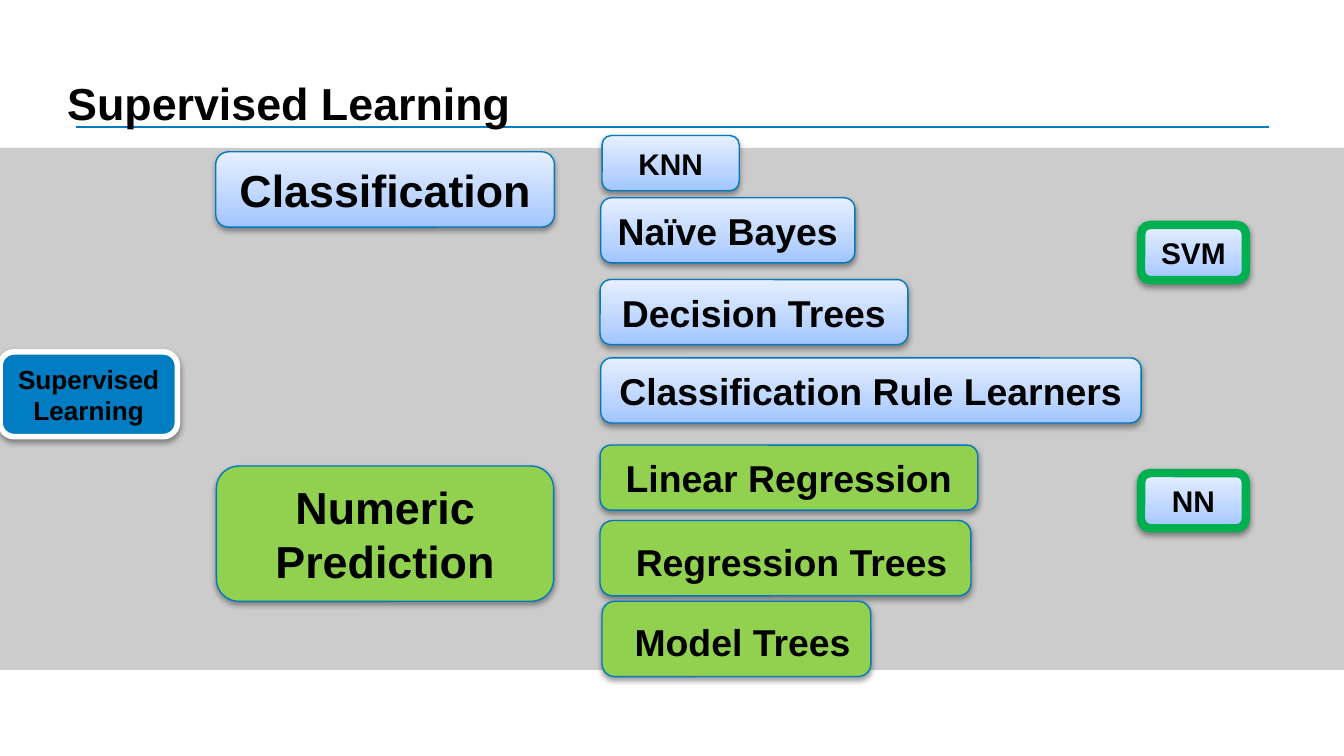
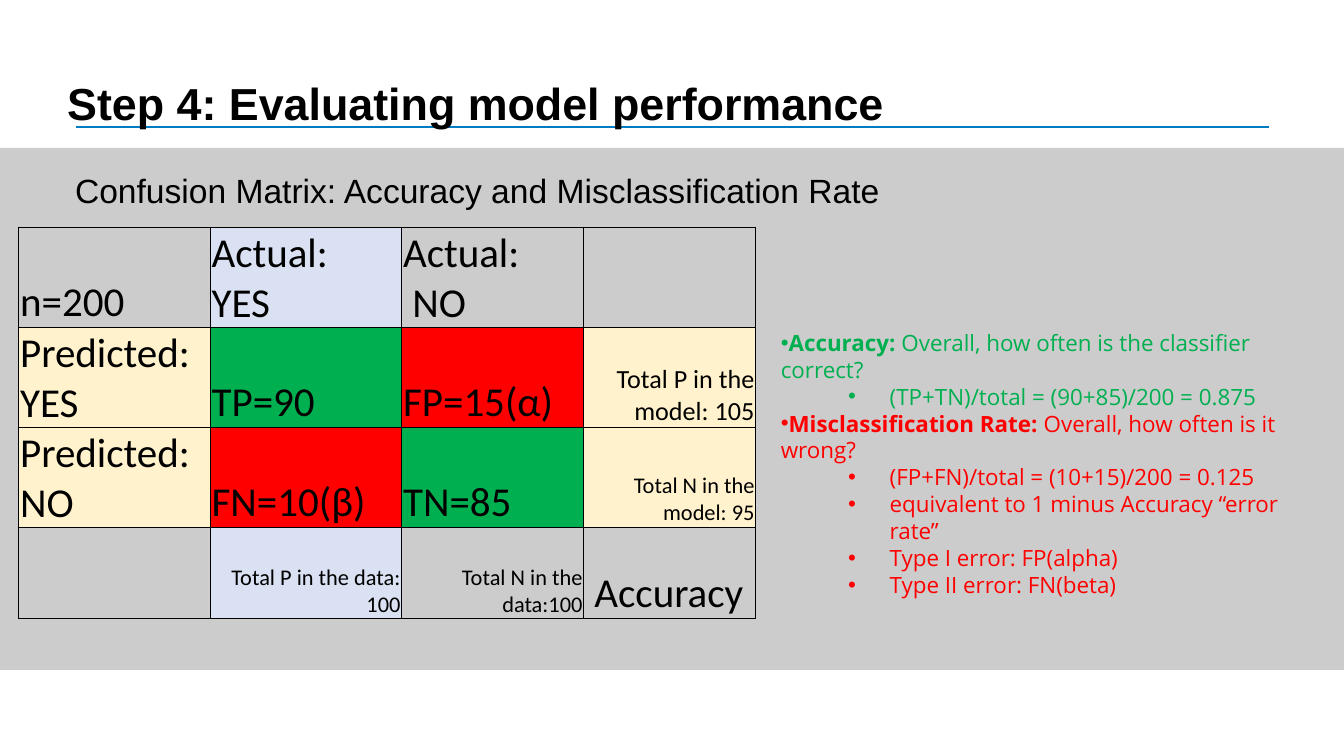
"""Build two slides on supervised learning: a map of methods and a confusion matrix."""
from copy import deepcopy

from lxml.etree import SubElement
from pptx import Presentation
from pptx.dml.color import RGBColor
from pptx.enum.shapes import MSO_CONNECTOR, MSO_SHAPE
from pptx.enum.text import MSO_ANCHOR, MSO_AUTO_SIZE, PP_ALIGN
from pptx.oxml import parse_xml
from pptx.oxml.ns import nsdecls, qn
from pptx.util import Inches, Pt


class Theme:
    black, white, band = "000000", "FFFFFF", "CCCCCC"
    blue, edge = "007CC2", "0079BE"
    lime, green, red = "92D050", "00B050", "FF0000"
    lilac, cream = "D9E1F2", "FFF2CC"
    gradient = [(0, "A1C5FF"), (0.35, "BCD5FF"), (1, "E6EFFF")]
    head, cell, method, lead, small, root, note = 24, 22, 20, 18, 16, 14, 12
    sans, table, text = "Arial", "Calibri", "Open Sans"


prs = Presentation()
prs.slide_width, prs.slide_height = Inches(10), Inches(10) * 9 // 16


def at(x, y, w, h):
    """Turn percentages of the slide's width and height into lengths."""
    return [int(share * side / 100) for share, side in
            zip((x, y, w, h), (prs.slide_width, prs.slide_height) * 2)]


def add_run(p, text, size, color=Theme.black, bold=False, font=Theme.sans):
    """Add one formatted run to a paragraph."""
    r = p.add_run()
    r.text = text
    r.font.size, r.font.bold, r.font.name = Pt(size), bold, font
    r.font.color.rgb = RGBColor.from_string(color)


map_slide = prs.slides.add_slide(prs.slide_layouts[5])
matrix_slide = prs.slides.add_slide(prs.slide_layouts[1])

x, y, w, h = at(5.65, 16.75, 88.75, 0)
rule = matrix_slide.shapes.add_connector(MSO_CONNECTOR.STRAIGHT, x, y, x + w, y)
rule.line.color.rgb, rule.line.width = RGBColor.from_string(Theme.blue), Pt(1)
SubElement(rule.element.spPr, qn("a:effectLst"))
band = matrix_slide.shapes.add_shape(MSO_SHAPE.RECTANGLE, *at(0, 19.57, 100, 69.04))
band.shadow.inherit = False
band.fill.solid()
band.fill.fore_color.rgb = RGBColor.from_string(Theme.band)
band.line.fill.background()
for i, sp in enumerate((rule, band)):
    sp.element.xpath(".//p:cNvPr")[0].set("id", str(20 + i))
    prs.slide_master.shapes.element.insert(2 + i, sp.element)

for s, heading in ((map_slide, "Supervised Learning"),
                   (matrix_slide, "Step 4: Evaluating model performance")):
    title = s.shapes.title
    title.left, title.top, title.width, title.height = at(4, 9.92, 92, 8.19)
    tf = title.text_frame
    tf.auto_size, tf.vertical_anchor = MSO_AUTO_SIZE.SHAPE_TO_FIT_TEXT, MSO_ANCHOR.BOTTOM
    p = tf.paragraphs[0]
    p.alignment, p.line_spacing = PP_ALIGN.LEFT, 0.9
    add_run(p, heading, Theme.head, bold=True)

soft = (Theme.gradient, Theme.edge, 0.75)
leaf = (Theme.lime, Theme.edge, 0.75)
both = (Theme.gradient, Theme.green, 4.5)
boxes = [
    ("Supervised Learning", (0, 46.55, 13.2, 11.21), Theme.root, (Theme.blue, Theme.white, 3)),
    ("KNN", (44.8, 17.93, 10.2, 7.3), Theme.small, soft),
    ("Naïve Bayes", (44.7, 26.16, 18.9, 8.6), Theme.method, soft),
    ("Decision Trees", (44.65, 36.98, 22.9, 8.6), Theme.method, soft),
    ("Classification Rule Learners", (44.7, 47.35, 40.2, 8.6), Theme.method, soft),
    ("Linear Regression", (44.65, 58.88, 28.1, 8.6), Theme.method, leaf),
    (" Regression Trees", (44.65, 68.86, 27.6, 9.96), Theme.method, leaf),
    (" Model Trees", (44.8, 79.54, 20, 9.96), Theme.method, leaf),
    ("Numeric Prediction", (16.1, 61.65, 25.1, 17.9), Theme.head, leaf),
    ("Classification", (16.05, 20.08, 25.2, 9.96), Theme.head, soft),
    ("SVM", (84.9, 29.75, 7.8, 7.3), Theme.small, both),
    ("NN", (84.9, 62.58, 7.8, 7.3), Theme.small, both),
]
for text, place, size, (fill, edge, weight) in boxes:
    sp = map_slide.shapes.add_shape(MSO_SHAPE.FLOWCHART_ALTERNATE_PROCESS, *at(*place))
    if fill is Theme.gradient:
        sp.fill.gradient()
        sp.fill.gradient_angle = 90
        stops = sp.element.spPr.find(".//" + qn("a:gsLst"))
        stops.insert(1, deepcopy(stops[0]))
        for stop, (position, color) in zip(sp.fill.gradient_stops, fill):
            stop.position, stop.color.rgb = position, RGBColor.from_string(color)
    else:
        sp.fill.solid()
        sp.fill.fore_color.rgb = RGBColor.from_string(fill)
    sp.line.color.rgb, sp.line.width = RGBColor.from_string(edge), Pt(weight)
    sp.element.spPr.append(parse_xml(
        f'<a:effectLst {nsdecls("a")}><a:outerShdw blurRad="40000" dist="20000" dir="5400000" '
        f'rotWithShape="0"><a:srgbClr val="{Theme.black}"><a:alpha val="38000"/></a:srgbClr>'
        '</a:outerShdw></a:effectLst>'))
    tf = sp.text_frame
    tf.word_wrap, tf.vertical_anchor = True, MSO_ANCHOR.MIDDLE
    tf.auto_size = MSO_AUTO_SIZE.SHAPE_TO_FIT_TEXT
    p = tf.paragraphs[0]
    p.alignment = PP_ALIGN.CENTER
    if text.startswith(" "):
        add_run(p, " ", Theme.head, bold=True)
    add_run(p, text.strip(), size, bold=True)

body = matrix_slide.placeholders[1]
body.left, body.top, body.width, body.height = at(57.1, 42.63, 42.9, 30.6)
tf = body.text_frame
tf.auto_size, tf.vertical_anchor = MSO_AUTO_SIZE.SHAPE_TO_FIT_TEXT, MSO_ANCHOR.TOP
measures = [
    (Theme.green, "Accuracy:", " Overall, how often is the classifier correct?"),
    (Theme.green, "", "(TP+TN)/total = (90+85)/200 = 0.875"),
    (Theme.red, "Misclassification Rate:", " Overall, how often is it wrong?"),
    (Theme.red, "", "(FP+FN)/total = (10+15)/200 = 0.125"),
    (Theme.red, "", "equivalent to 1 minus Accuracy “error rate”"),
    (Theme.red, "", "Type I error: FP(alpha)"),
    (Theme.red, "", "Type II error: FN(beta)"),
]
for i, (color, term, text) in enumerate(measures):
    p = tf.add_paragraph() if i else tf.paragraphs[0]
    p.level = 0 if term else 1
    p.space_before = Pt(0)
    pPr = p._p.get_or_add_pPr()
    pPr.set("marL", str(Inches(0.81 * p.level)))
    pPr.set("indent", str(Inches(-0.31 * p.level)))
    SubElement(pPr, qn("a:buFont"), typeface=Theme.sans)
    SubElement(pPr, qn("a:buChar"), char="•")
    if term:
        add_run(p, term, Theme.note, color, True, Theme.text)
    add_run(p, text, Theme.note, color, font=Theme.text)

widths, heights = (14.25, 14.25, 13.55, 12.8), (13.2, 13.2, 13.2, 12.15)
table = matrix_slide.shapes.add_table(
    4, 4, *at(1.4, 30.07, sum(widths), sum(heights))).table
table.first_row = table.horz_banding = False
for col, row, width, height in zip(table.columns, table.rows, widths, heights):
    _, _, col.width, row.height = at(0, 0, width, height)
big, mid, low = Theme.cell, Theme.root, Theme.note
matrix = [
    [("n=200", big, None), ("Actual: \nYES", big, Theme.lilac),
     ("Actual:\n NO", big, None), ("", big, None)],
    [("Predicted: \nYES", big, Theme.cream), ("TP=90", big, Theme.green),
     ("FP=15(α)", big, Theme.red), ("Total P in the model: 105", mid, Theme.cream)],
    [("Predicted: \nNO", big, Theme.cream), ("FN=10(β)", big, Theme.red),
     ("TN=85", big, Theme.green), ("Total N in the model: 95", low, Theme.cream)],
    [("", big, None), ("Total P in the data: 100", low, Theme.lilac),
     ("Total N in the data:100", low, None), (" Accuracy", big, None)],
]
for i, row in enumerate(matrix):
    for j, (text, size, fill) in enumerate(row):
        cell = table.cell(i, j)
        cell.vertical_anchor = MSO_ANCHOR.BOTTOM
        cell.margin_left = cell.margin_top = cell.margin_right = Inches(0.01)
        cell.margin_bottom = 0
        if fill:
            cell.fill.solid()
            cell.fill.fore_color.rgb = RGBColor.from_string(fill)
        else:
            cell.fill.background()
        for k, side in enumerate(("lnL", "lnR", "lnT", "lnB")):
            cell._tc.get_or_add_tcPr().insert(k, parse_xml(
                f'<a:{side} {nsdecls("a")} w="{Pt(0.5)}"><a:solidFill>'
                f'<a:srgbClr val="{Theme.black}"/></a:solidFill></a:{side}>'))
        p = cell.text_frame.paragraphs[0]
        p.alignment = PP_ALIGN.LEFT if size == big else PP_ALIGN.RIGHT
        for k, part in enumerate(text.split("\n") if text else []):
            if k:
                p.add_line_break()
            add_run(p, part, size, font=Theme.table)

lead = matrix_slide.shapes.add_textbox(*at(4.6, 21.6, 62.5, 7.12))
tf = lead.text_frame
tf.word_wrap, tf.auto_size = False, MSO_AUTO_SIZE.SHAPE_TO_FIT_TEXT
add_run(tf.paragraphs[0], "Confusion Matrix: Accuracy and Misclassification Rate", Theme.lead)

prs.save("out.pptx")
